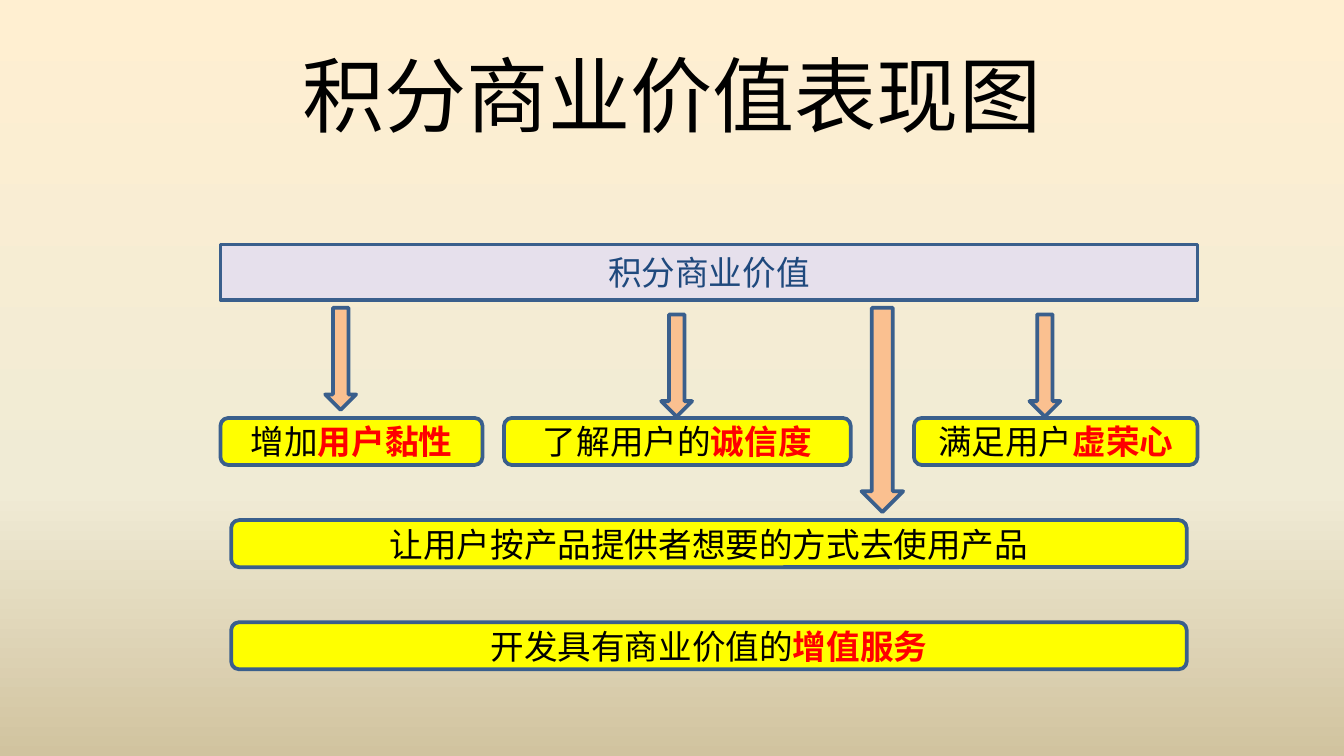
import copy

import pptx
import pptx.dml.color
import pptx.enum.shapes
import pptx.enum.text
import pptx.oxml.ns
import pptx.util

Inches = pptx.util.Inches
RGBColor = pptx.dml.color.RGBColor
ShapeType = pptx.enum.shapes.MSO_SHAPE

BLACK = RGBColor(0x00, 0x00, 0x00)
RED = RGBColor(0xFF, 0x00, 0x00)
NAVY = RGBColor(0x1F, 0x49, 0x7D)
OUTLINE = RGBColor(0x3A, 0x5F, 0x8C)
LAVENDER = RGBColor(0xE6, 0xE0, 0xEC)
YELLOW = RGBColor(0xFF, 0xFF, 0x00)
ORANGE = RGBColor(0xFA, 0xC0, 0x90)
BACKGROUND_STOPS = [
    (0, RGBColor(0xFF, 0xEF, 0xD1)),
    (0.65, RGBColor(0xF0, 0xEB, 0xD5)),
    (1, RGBColor(0xD1, 0xC3, 0x9F)),
]

FONT = "Calibri"
SLIDE_WIDTH = 10
BOX_HEIGHT = 0.35
VALUE_ROW_TOP = 3.11
ROW_STEP = 0.76


def set_background(slide):
    fill = slide.background.fill
    fill.gradient()
    fill.gradient_angle = 270
    stop_list = slide.element.find(".//" + pptx.oxml.ns.qn("a:gsLst"))
    stop_list.append(copy.deepcopy(stop_list[0]))
    for stop, (position, color) in zip(fill.gradient_stops, BACKGROUND_STOPS):
        stop.position = position
        stop.color.rgb = color


def write_text(shape, text, emphasis="", size=18, color=BLACK):
    frame = shape.text_frame
    frame.word_wrap = True
    frame.vertical_anchor = pptx.enum.text.MSO_ANCHOR.MIDDLE
    paragraph = frame.paragraphs[0]
    paragraph.alignment = pptx.enum.text.PP_ALIGN.CENTER
    for content, run_color, bold in ((text, color, False), (emphasis, RED, True)):
        if content:
            run = paragraph.add_run()
            run.text = content
            run.font.name = FONT
            run.font.size = pptx.util.Pt(size)
            run.font.bold = bold
            run.font.color.rgb = run_color


def add_outlined_shape(slide, kind, left, top, width, height, fill):
    shape = slide.shapes.add_shape(
        kind, Inches(left), Inches(top), Inches(width), Inches(height)
    )
    shape.shadow.inherit = False
    shape.fill.solid()
    shape.fill.fore_color.rgb = fill
    shape.line.color.rgb = OUTLINE
    shape.line.width = pptx.util.Pt(2)
    return shape


def add_title(slide, text):
    title = slide.shapes.add_textbox(
        Inches(0.5), Inches(0.23), Inches(9), Inches(0.94)
    )
    write_text(title, text, size=44)


def add_value_box(slide, left, top, width, text, emphasis=""):
    box = add_outlined_shape(
        slide, ShapeType.ROUNDED_RECTANGLE, left, top, width, BOX_HEIGHT, YELLOW
    )
    write_text(box, text, emphasis)


def add_down_arrow(slide, left, top, width=0.23, height=0.76):
    add_outlined_shape(slide, ShapeType.DOWN_ARROW, left, top, width, height, ORANGE)


def main():
    presentation = pptx.Presentation()
    presentation.slide_width = Inches(SLIDE_WIDTH)
    presentation.slide_height = Inches(SLIDE_WIDTH * 9 / 16)
    slide = presentation.slides.add_slide(presentation.slide_layouts[6])
    set_background(slide)

    add_title(slide, "积分商业价值表现图")
    header = add_outlined_shape(
        slide, ShapeType.RECTANGLE, 1.64, 1.82, 7.27, 0.41, LAVENDER
    )
    write_text(header, "积分商业价值", color=NAVY)

    for left, width, text, emphasis in (
        (1.64, 1.95, "增加", "用户黏性"),
        (3.75, 2.58, "了解用户的", "诚信度"),
        (6.8, 2.11, "满足用户", "虚荣心"),
    ):
        add_value_box(slide, left, VALUE_ROW_TOP, width, text, emphasis)

    for row, (text, emphasis) in enumerate(
        (
            ("让用户按产品提供者想要的方式去使用产品", ""),
            ("开发具有商业价值的", "增值服务"),
        ),
        start=1,
    ):
        add_value_box(
            slide, 1.72, VALUE_ROW_TOP + row * ROW_STEP, 7.11, text, emphasis
        )

    for left, top in ((4.92, 2.34), (2.42, 2.29), (7.66, 2.34)):
        add_down_arrow(slide, left, top)
    add_down_arrow(slide, 6.41, 2.29, width=0.31, height=1.52)

    presentation.save("out.pptx")


if __name__ == "__main__":
    main()
